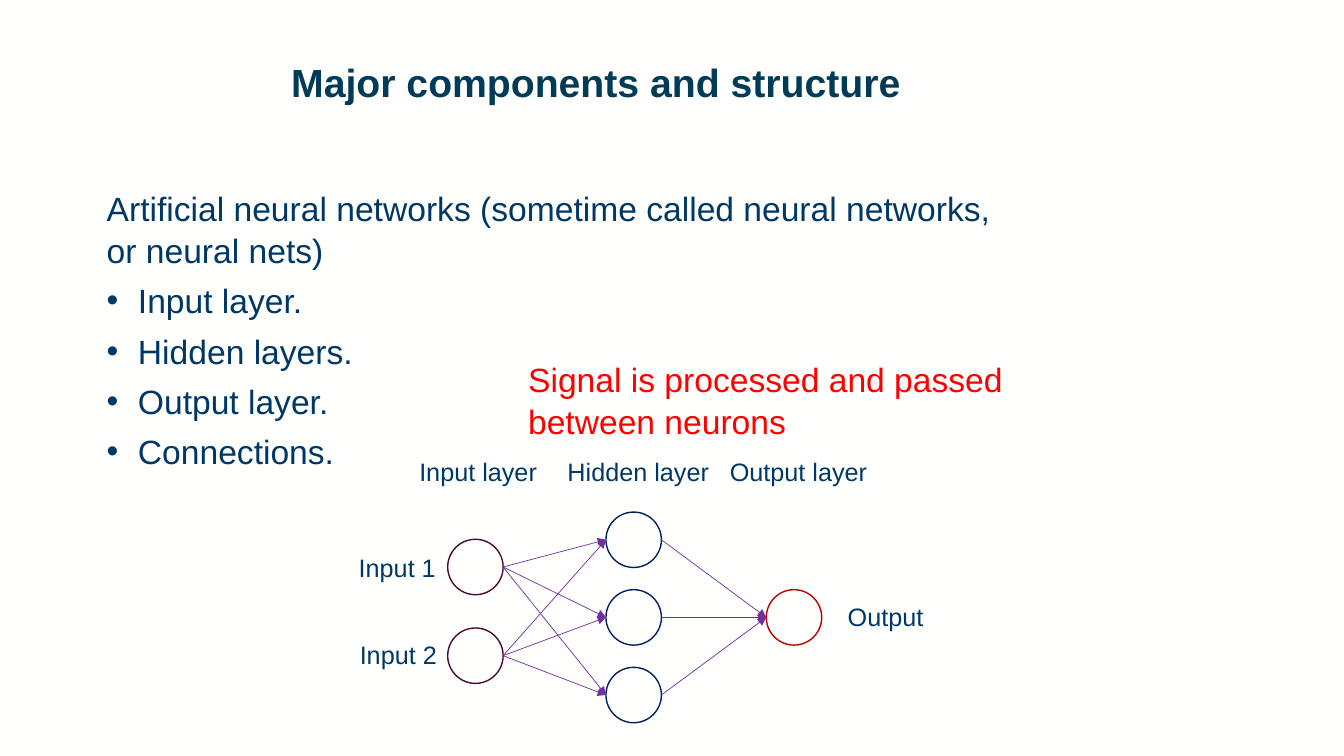
from itertools import product

from lxml import etree
from pptx import Presentation
from pptx.dml.color import RGBColor
from pptx.enum import shapes, text
from pptx.oxml import ns
from pptx.util import Inches, Pt

PAPER = RGBColor(0xFF, 0xFF, 0xFE)
TITLE_BLUE = RGBColor(0x00, 0x3B, 0x58)
TEXT_BLUE = RGBColor(0x00, 0x38, 0x65)
RED = RGBColor(0xFF, 0x00, 0x00)
INPUT_PLUM = RGBColor(0x4A, 0x09, 0x38)
HIDDEN_NAVY = RGBColor(0x00, 0x20, 0x60)
OUTPUT_RED = RGBColor(0xC0, 0x00, 0x00)
ARROW_PURPLE = RGBColor(0x70, 0x30, 0xA0)

NEURON_SIZE = 0.55
BULLET_INDENT = 0.31


class NetworkPage:
    font_name = "Arial"

    def __init__(self, deck):
        self.page = deck.slides.add_slide(deck.slide_layouts[6])
        fill = self.page.background.fill
        fill.solid()
        fill.fore_color.rgb = PAPER

    def text(self, lines, left, top, width, height, size, color,
             bold=False, wrap=True, spacing=None, after=0, bullets_from=None):
        box = self.page.shapes.add_textbox(
            Inches(left), Inches(top), Inches(width), Inches(height))
        frame = box.text_frame
        frame.word_wrap = wrap
        frame.auto_size = text.MSO_AUTO_SIZE.SHAPE_TO_FIT_TEXT
        for index, line in enumerate(lines):
            para = frame.paragraphs[0] if index == 0 else frame.add_paragraph()
            para.text = line
            para.space_after = Pt(after)
            if spacing:
                para.line_spacing = spacing
            if bullets_from is not None and index >= bullets_from:
                self.bullet(para)
            font = para.font
            font.name = self.font_name
            font.size = Pt(size)
            font.bold = bold
            font.color.rgb = color

    def bullet(self, para):
        properties = para._p.get_or_add_pPr()
        properties.set("marL", str(Inches(BULLET_INDENT)))
        properties.set("indent", str(-Inches(BULLET_INDENT)))
        etree.SubElement(properties, ns.qn("a:buFont")).set("typeface", self.font_name)
        etree.SubElement(properties, ns.qn("a:buChar")).set("char", "•")

    def label(self, words, left, top, width):
        self.text([words], left, top, width, 0.4, 18, TEXT_BLUE, wrap=False)

    def neuron(self, left, top, color):
        circle = self.page.shapes.add_shape(
            shapes.MSO_SHAPE.OVAL, Inches(left), Inches(top),
            Inches(NEURON_SIZE), Inches(NEURON_SIZE))
        circle.shadow.inherit = False
        circle.fill.solid()
        circle.fill.fore_color.rgb = PAPER
        circle.line.color.rgb = color
        circle.line.width = Pt(1)

    def arrow(self, source, target):
        start_x, start_y = source[0] + NEURON_SIZE, source[1] + NEURON_SIZE / 2
        end_x, end_y = target[0], target[1] + NEURON_SIZE / 2
        line = self.page.shapes.add_connector(
            shapes.MSO_CONNECTOR.STRAIGHT,
            Inches(start_x), Inches(start_y), Inches(end_x), Inches(end_y))
        line.line.color.rgb = ARROW_PURPLE
        line.line.width = Pt(0.5)
        outline = line.line._get_or_add_ln()
        etree.SubElement(outline, ns.qn("a:tailEnd")).set("type", "triangle")
        etree.SubElement(line._element.spPr, ns.qn("a:effectLst"))


def main():
    deck = Presentation()
    deck.slide_width = Inches(13.33)
    deck.slide_height = Inches(7.5)
    page = NetworkPage(deck)

    page.text(["Major components and structure"], 2.79, 0.58, 10.07, 0.97,
              28, TITLE_BLUE, bold=True, spacing=0.9)
    page.text(
        ["Artificial neural networks (sometime called neural networks, or neural nets)",
         "Input layer.", "Hidden layers.", "Output layer.", "Connections."],
        0.96, 1.8, 9.12, 2.86, 24, TEXT_BLUE, spacing=1.04, after=6, bullets_from=1)
    page.text(["Signal is processed and passed between neurons"],
              5.14, 3.5, 5.83, 0.91, 24, RED, spacing=1.04)

    inputs = [(4.44, 5.35 + 0.88 * row) for row in range(2)]
    hidden = [(6.01, 5.08 + 0.77 * row) for row in range(3)]
    outputs = [(7.6, 5.85)]
    layers = [(inputs, INPUT_PLUM), (hidden, HIDDEN_NAVY), (outputs, OUTPUT_RED)]
    for neurons, color in layers:
        for left, top in neurons:
            page.neuron(left, top, color)
    for sources, targets in [(inputs, hidden), (hidden, outputs)]:
        for source, target in product(sources, targets):
            page.arrow(source, target)

    for words, left, top, width in [
        ("Input 1", 3.46, 5.43, 0.97),
        ("Input 2", 3.47, 6.29, 0.97),
        ("Input layer", 4.06, 4.48, 1.38),
        ("Hidden layer", 5.53, 4.48, 1.62),
        ("Output layer", 7.14, 4.48, 1.58),
        ("Output", 8.31, 5.92, 0.96),
    ]:
        page.label(words, left, top, width)

    deck.save("out.pptx")


if __name__ == "__main__":
    main()
